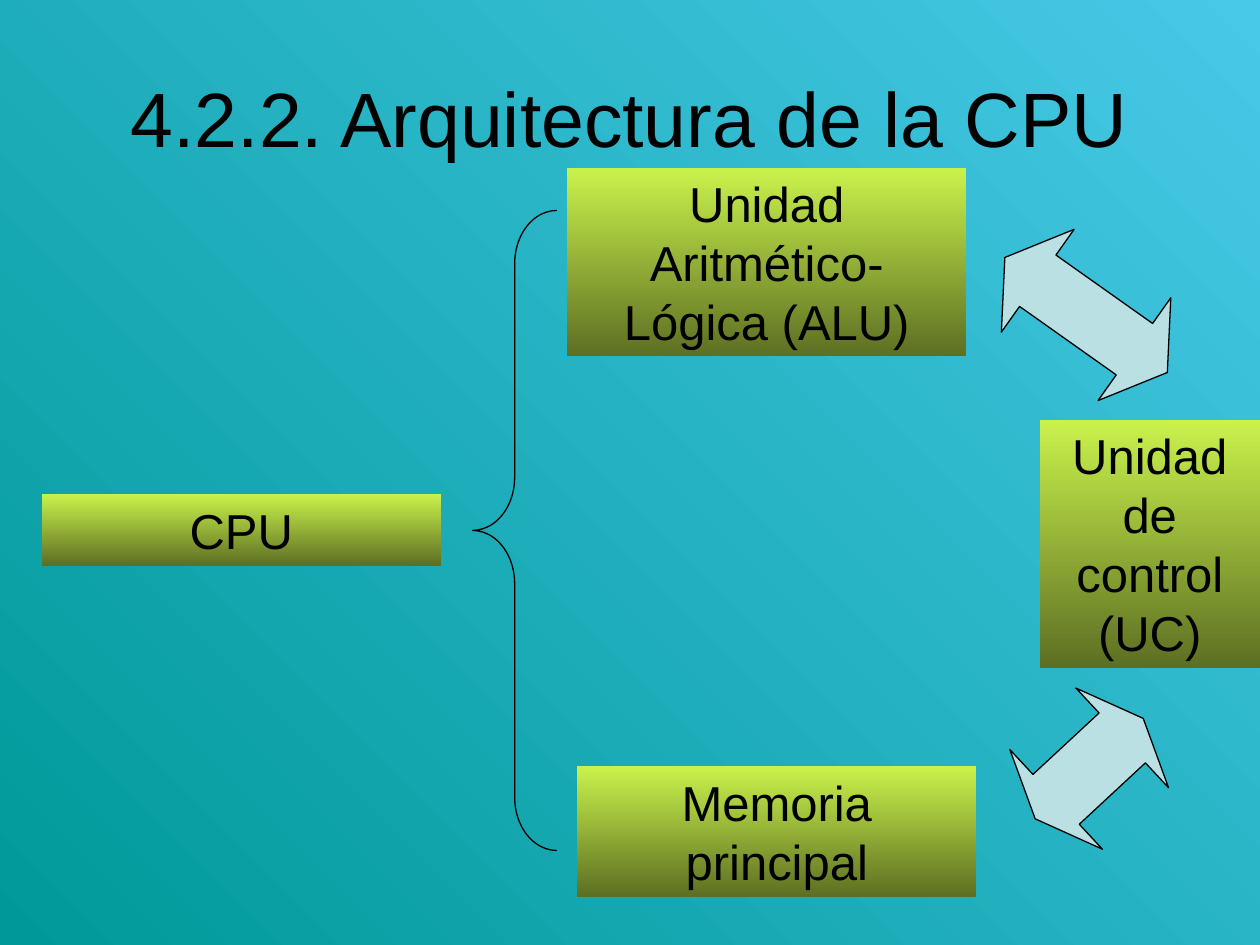
from pptx import Presentation
from pptx.dml.color import RGBColor
from pptx.enum.shapes import MSO_SHAPE
from pptx.enum.text import MSO_ANCHOR, MSO_AUTO_SIZE, PP_ALIGN
from pptx.util import Inches, Pt

RECTANGLE = MSO_SHAPE.RECTANGLE
DOUBLE_ARROW = MSO_SHAPE.LEFT_RIGHT_ARROW
BRACE = MSO_SHAPE.LEFT_BRACE
TOP, MIDDLE = MSO_ANCHOR.TOP, MSO_ANCHOR.MIDDLE
CENTER = PP_ALIGN.CENTER
GROW = MSO_AUTO_SIZE.SHAPE_TO_FIT_TEXT

BLACK = RGBColor(0x00, 0x00, 0x00)
SKY = RGBColor(0x47, 0xC9, 0xE7)
TEAL = RGBColor(0x00, 0x99, 0x99)
LIME = RGBColor(0xCA, 0xF2, 0x4C)
OLIVE = RGBColor(0x5D, 0x6F, 0x23)
PALE_BLUE = RGBColor(0xBB, 0xE0, 0xE3)
FONT = "Arial"

# Places are left, top, width, height in inches.
TITLE = ("4.2.2. Arquitectura de la CPU", (0.5, 0.3, 9, 1.25))
UNITS = [
    ("CPU", (0.33, 3.92, 3.17, 0.57)),
    ("Unidad Aritmético-Lógica (ALU)", (4.5, 1.33, 3.17, 1.5)),
    ("Memoria principal", (4.58, 6.08, 3.17, 1.04)),
    ("Unidad de control (UC)", (8.25, 3.33, 1.75, 1.97)),
]
# Place, rotation in degrees, shaft and head proportions.
LINKS = [
    ((7.83, 2, 1.58, 1), 35.3, (0.5, 0.32)),
    ((8.06, 5.56, 1.17, 1.08), 317.1, (0.5, 0.21)),
]
BRACE_PLACE = (3.75, 1.67, 0.67, 5.08)
BRACE_CURVES = (0.63, 0.5)


def fill_gradient(fill, colors, angle):
    """Two-colour linear gradient; the angle runs counter-clockwise."""
    fill.gradient()
    fill.gradient_angle = angle
    for stop, color in zip(fill.gradient_stops, colors):
        stop.color.rgb = color


def write(frame, text, size, anchor):
    frame.word_wrap = True
    frame.vertical_anchor = anchor
    paragraph = frame.paragraphs[0]
    paragraph.alignment = CENTER
    run = paragraph.add_run()
    run.text = text
    run.font.name = FONT
    run.font.size = Pt(size)
    run.font.color.rgb = BLACK
    return paragraph


def add_preset(slide, preset, place):
    shape = slide.shapes.add_shape(preset, *map(Inches, place))
    shape.shadow.inherit = False
    return shape


def add_unit(slide, text, place):
    unit = add_preset(slide, RECTANGLE, place)
    fill_gradient(unit.fill, (LIME, OLIVE), 270)
    unit.line.fill.background()
    paragraph = write(unit.text_frame, text, 28, TOP)
    paragraph.space_before = Pt(17.5)
    unit.text_frame.auto_size = GROW


def add_outlined(slide, preset, place, adjustments):
    shape = add_preset(slide, preset, place)
    for index, value in enumerate(adjustments):
        shape.adjustments[index] = value
    shape.line.color.rgb = BLACK
    shape.line.width = Pt(0.75)
    return shape


def main():
    deck = Presentation()
    deck.slide_width, deck.slide_height = Inches(10), Inches(7.5)
    slide = deck.slides.add_slide(deck.slide_layouts[6])
    fill_gradient(slide.background.fill, (SKY, TEAL), 225)

    title, title_place = TITLE
    heading = slide.shapes.add_textbox(*map(Inches, title_place))
    write(heading.text_frame, title, 44, MIDDLE)

    for text, place in UNITS:
        add_unit(slide, text, place)

    for place, rotation, proportions in LINKS:
        link = add_outlined(slide, DOUBLE_ARROW, place, proportions)
        link.rotation = rotation
        link.fill.solid()
        link.fill.fore_color.rgb = PALE_BLUE

    brace = add_outlined(slide, BRACE, BRACE_PLACE, BRACE_CURVES)
    brace.fill.background()

    deck.save("out.pptx")


if __name__ == "__main__":
    main()
